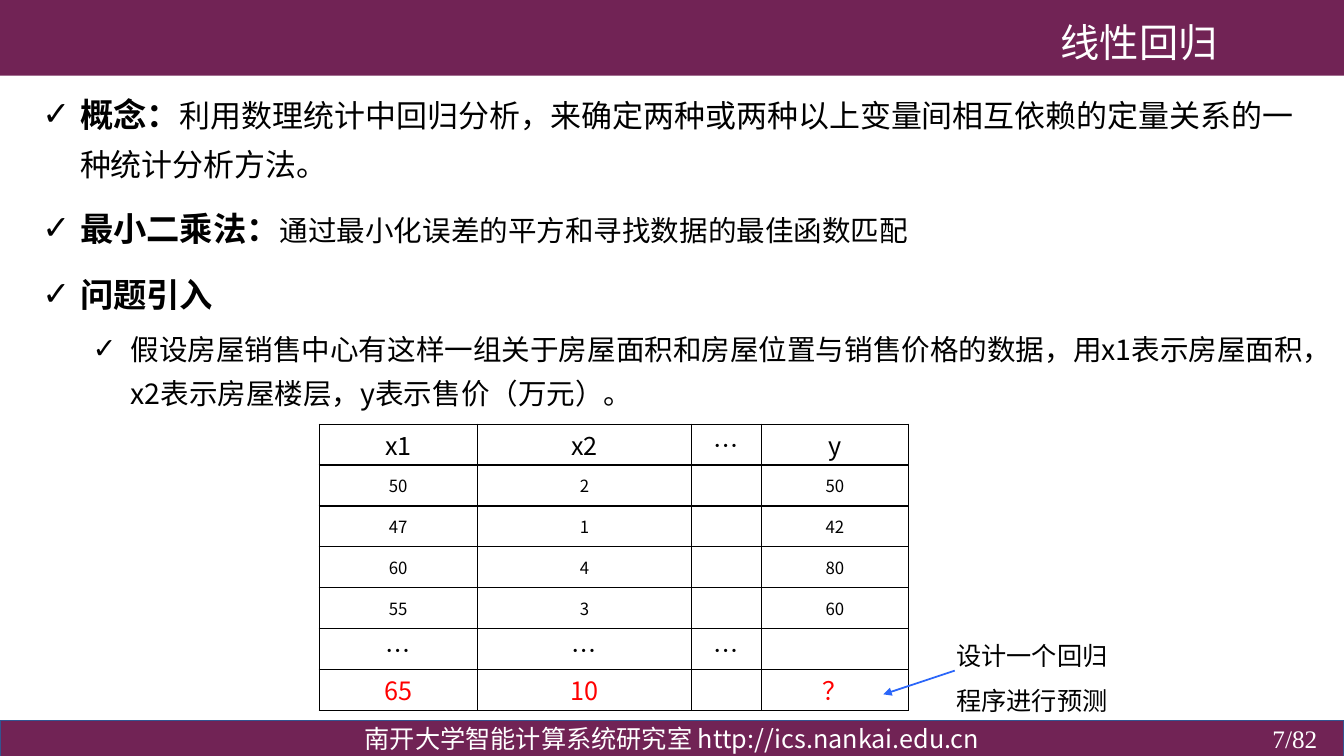
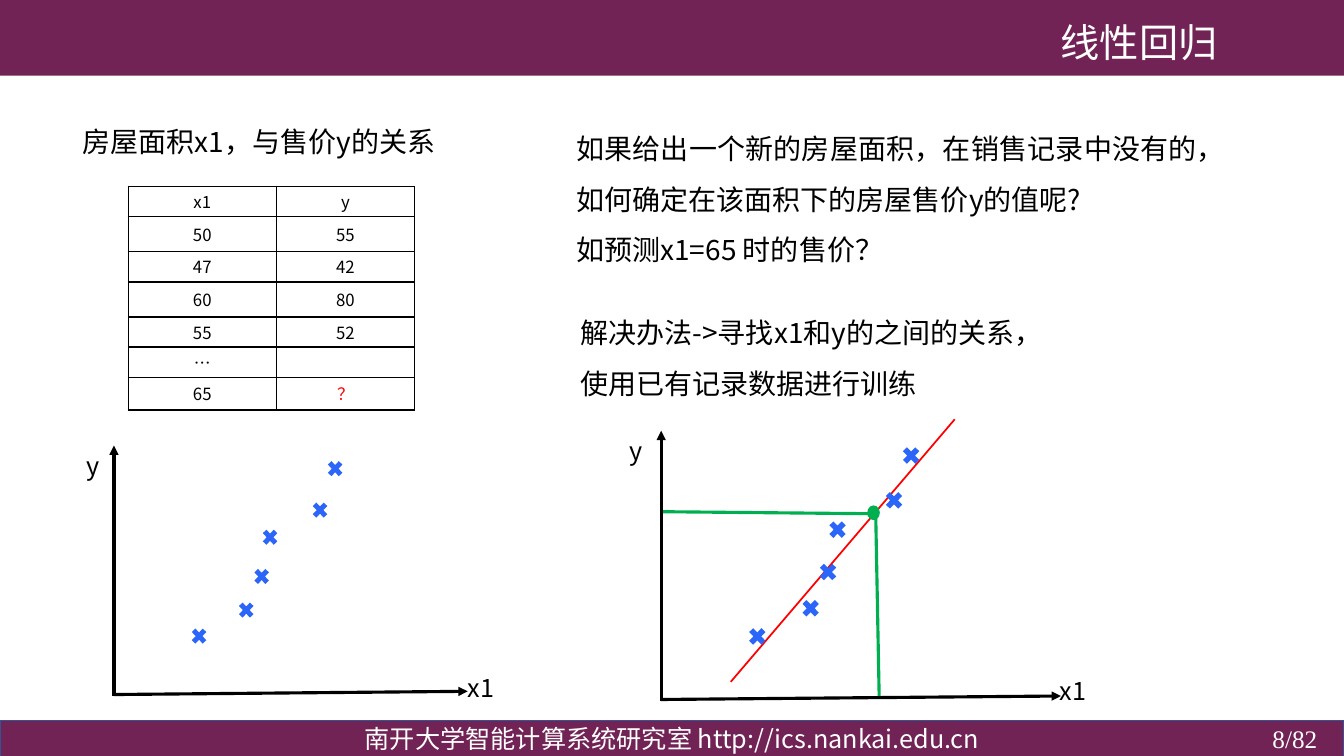
from lxml.etree import SubElement
from pptx import Presentation
from pptx.dml.color import RGBColor
from pptx.enum.shapes import MSO_CONNECTOR as Link, MSO_SHAPE as Kind
from pptx.enum.text import MSO_ANCHOR as Anchor, MSO_AUTO_SIZE as Fit, PP_ALIGN as Align
from pptx.oxml.ns import qn
from pptx.util import Pt

PLUM = RGBColor(0x71, 0x23, 0x55)
NAVY = RGBColor(0x32, 0x54, 0x91)
BLUE = RGBColor(0x2B, 0x66, 0xF9)
GREEN = RGBColor(0x00, 0xB0, 0x50)
RED = RGBColor(0xFF, 0x00, 0x00)
BLACK = RGBColor(0x00, 0x00, 0x00)
WHITE = RGBColor(0xFF, 0xFF, 0xFF)
SANS = "Noto Sans CJK SC"
SERIF = "Times New Roman"
WIDE, HIGH = 960, 540

TITLE = "线性回归"
FOOT = "南开大学智能计算系统研究室 http://ics.nankai.edu.cn"
POINTS = [
    (0, [("概念：", 23.8, True),
         ("利用数理统计中回归分析，来确定两种或两种以上变量间相互依赖的定量关系的一种统计分析方法。",
          22.1, False)]),
    (0, [("最小二乘法：", 23.8, True),
         ("通过最小化误差的平方和寻找数据的最佳函数匹配", 20.4, False)]),
    (0, [("问题引入", 23.8, True)]),
    (1, [("假设房屋销售中心有这样一组关于房屋面积和房屋位置与销售价格的数据，"
          "用x1表示房屋面积，x2表示房屋楼层，y表示售价（万元）。", 20.4, False)]),
]
SALES = [
    ["x1", "x2", "…", "y"],
    ["50", "2", "", "50"],
    ["47", "1", "", "42"],
    ["60", "4", "", "80"],
    ["55", "3", "", "60"],
    ["…", "…", "…", ""],
    ["65", "10", "", "？"],
]
PRICES = [["x1", "y"], ["50", "55"], ["47", "42"], ["60", "80"],
          ["55", "52"], ["…", ""], ["65", "？"]]
# Top left corners of the crosses, measured from the origin of the axes
MARKS = [(53.3, -50.4), (87, -69), (98, -93), (104, -121), (139.7, -140.4), (150.5, -170)]


def set_font(para, size=None, color=BLACK, name=SANS):
    font = para.font
    font.name = name
    SubElement(font._element, qn("a:ea"), typeface=name)
    font.color.rgb = color
    if size:
        font.size = Pt(size)


def place(shape, left, top, width, height):
    shape.left, shape.top, shape.width, shape.height = map(Pt, (left, top, width, height))


def add_text(slide, box, lines, size, color=BLACK, name=SANS, align=None,
             space=None, anchor=Anchor.TOP):
    frame = slide.shapes.add_textbox(*map(Pt, box)).text_frame
    frame.word_wrap = True
    frame.vertical_anchor = anchor
    frame.text = "\n".join(lines)
    for para in frame.paragraphs:
        para.alignment = align
        para.line_spacing = space
        set_font(para, size, color, name)


def add_shape(slide, kind, box, fill, edge=None):
    shape = slide.shapes.add_shape(kind, *map(Pt, box))
    shape.shadow.inherit = False
    shape.fill.solid()
    shape.fill.fore_color.rgb = fill
    if edge is None:
        shape.line.fill.background()
    else:
        shape.line.color.rgb = edge
        shape.line.width = Pt(1)
    return shape


def add_line(slide, start, end, color, width, arrow=False):
    line = slide.shapes.add_connector(Link.STRAIGHT, *map(Pt, start + end))
    line.line.color.rgb = color
    line.line.width = Pt(width)
    if arrow:
        SubElement(line.line._get_or_add_ln(), qn("a:tailEnd"), type="triangle")
    SubElement(line._element.spPr, qn("a:effectLst"))


def add_border(cell):
    props = cell._tc.get_or_add_tcPr()
    for side in ("lnL", "lnR", "lnT", "lnB"):
        edge = SubElement(props, qn("a:" + side), w=str(Pt(1)))
        fill = SubElement(edge, qn("a:solidFill"))
        SubElement(fill, qn("a:srgbClr"), val=str(BLACK))


def add_grid(slide, left, top, cols, rows, data, style):
    """Draw a bordered table; style gives the size and colour of a cell."""
    frame = slide.shapes.add_table(len(rows), len(cols), Pt(left), Pt(top),
                                   Pt(sum(cols)), Pt(sum(rows)))
    table = frame.table
    table.first_row = table.horz_banding = False
    for col, width in zip(table.columns, cols):
        col.width = Pt(width)
    for r, (row, height) in enumerate(zip(table.rows, rows)):
        row.height = Pt(height)
        for cell, text in zip(row.cells, data[r]):
            add_border(cell)
            cell.fill.background()
            cell.margin_top = cell.margin_bottom = 0
            cell.vertical_anchor = Anchor.MIDDLE
            cell.text = text
            para = cell.text_frame.paragraphs[0]
            para.alignment = Align.CENTER
            set_font(para, *style(r, text))


def add_plot(slide, left, base, wide=1, high=1):
    """Draw axes and crosses with the origin at left, base."""
    def at(x, y):
        return left + x * wide, base + y * high

    add_line(slide, at(0, -0.7), at(252.7, -3), BLACK, 2.25, True)
    add_line(slide, at(0, 0), at(0, -178.5), BLACK, 2.25, True)
    for mark in MARKS:
        add_shape(slide, Kind.MATH_MULTIPLY, (*at(*mark), 15 * wide, 16 * high), BLUE)
    add_text(slide, (*at(245.5, -20), 43 * wide, 34 * high), ["x1"], 18)
    add_text(slide, (*at(-26.6, -178.5), 30 * wide, 34 * high), ["y"], 18)


def add_bands(deck, slide):
    """Put the top and bottom bands on the master, behind everything."""
    top = add_shape(slide, Kind.RECTANGLE, (0, 0, WIDE, 54), PLUM)
    foot = add_shape(slide, Kind.RECTANGLE, (0, 514.5, WIDE, 26), PLUM, NAVY)
    frame = foot.text_frame
    frame.vertical_anchor = Anchor.MIDDLE
    frame.text = FOOT
    frame.paragraphs[0].alignment = Align.CENTER
    set_font(frame.paragraphs[0], 18, WHITE)
    tree = deck.slide_master.shapes.element
    for num, band in enumerate((top, foot)):
        band._element.nvSpPr.cNvPr.set("id", str(20 + num))
        tree.insert(2 + num, band._element)


def add_slide(deck, layout, page):
    slide = deck.slides.add_slide(deck.slide_layouts.get_by_name(layout))
    title = slide.shapes.title
    place(title, 308, 9.5, 575, 41)
    frame = title.text_frame
    frame.auto_size = Fit.NONE
    frame.vertical_anchor = Anchor.TOP
    frame.margin_right = Pt(13.5)
    frame.text = TITLE
    frame.paragraphs[0].alignment = Align.RIGHT
    set_font(frame.paragraphs[0], 28, WHITE)
    add_text(slide, (841.5, 515, 106.5, 25), [f"{page}/82"], 18, WHITE, SERIF,
             Align.RIGHT, anchor=Anchor.MIDDLE)
    return slide


def fill_list(body, points):
    place(body, 23, 55, 917, 245)
    frame = body.text_frame
    frame.auto_size = Fit.NONE
    for num, (level, runs) in enumerate(points):
        para = frame.add_paragraph() if num else frame.paragraphs[0]
        para.level = level
        para.line_spacing = 1.3
        para.space_before = Pt((10, 5)[level] if num else 0)
        props = para._p.get_or_add_pPr()
        props.set("marL", str(Pt(27 + 36 * level)))
        props.set("indent", str(Pt(-27)))
        SubElement(props, qn("a:buChar"), char="✓")
        set_font(para)
        for text, size, bold in runs:
            run = para.add_run()
            run.text = text
            run.font.size = Pt(size)
            run.font.bold = bold


def sales_style(row, text):
    return (12 if 0 < row < 5 else 18), (RED if row == 6 else BLACK)


def price_style(row, text):
    return 12, (RED if text == "？" else BLACK)


def add_concept(slide):
    fill_list(slide.placeholders[1], POINTS)
    add_grid(slide, 228, 303, (113, 153, 50, 105), [29.2] * 7, SALES, sales_style)
    add_line(slide, (682, 479), (631, 496), BLUE, 1.25, True)
    add_text(slide, (676, 443, 123, 69), ["设计一个回归程序进行预测"], 18, space=1.5)


def add_fitting(slide):
    add_grid(slide, 91.5, 133, (106, 98.5), (21.5, 25, 22, 25, 21.5, 21.5, 23.5),
             PRICES, price_style)
    add_text(slide, (52, 85.5, 283, 32), ["房屋面积x1，与售价y的关系"], 20)
    add_text(slide, (404.5, 78.5, 477.5, 117),
             ["如果给出一个新的房屋面积，在销售记录中没有的，如何确定在该面积下的房屋售价y的值呢?",
              "如预测x1=65 时的售价？"], 20, align=Align.JUSTIFY, space=1.5)
    add_text(slide, (407.5, 210, 360, 80),
             ["解决办法->寻找x1和y的之间的关系，使用已有记录数据进行训练"], 20, space=1.5)
    add_plot(slide, 81.4, 496.8)
    add_line(slide, (522, 487), (682, 299.5), RED, 1.25)
    add_line(slide, (473, 365.5), (625.5, 367), GREEN, 2.25)
    add_line(slide, (628, 497.5), (625.5, 366), GREEN, 2.25)
    add_shape(slide, Kind.OVAL, (620, 361.5, 8, 9.5), GREEN, GREEN)
    add_plot(slide, 472.3, 500.4, 1.13, 1.08)


def main():
    deck = Presentation()
    deck.slide_width, deck.slide_height = Pt(WIDE), Pt(HIGH)
    concept = add_slide(deck, "Title and Content", 7)
    add_bands(deck, concept)
    add_concept(concept)
    add_fitting(add_slide(deck, "Title Only", 8))
    deck.save("out.pptx")


if __name__ == "__main__":
    main()
